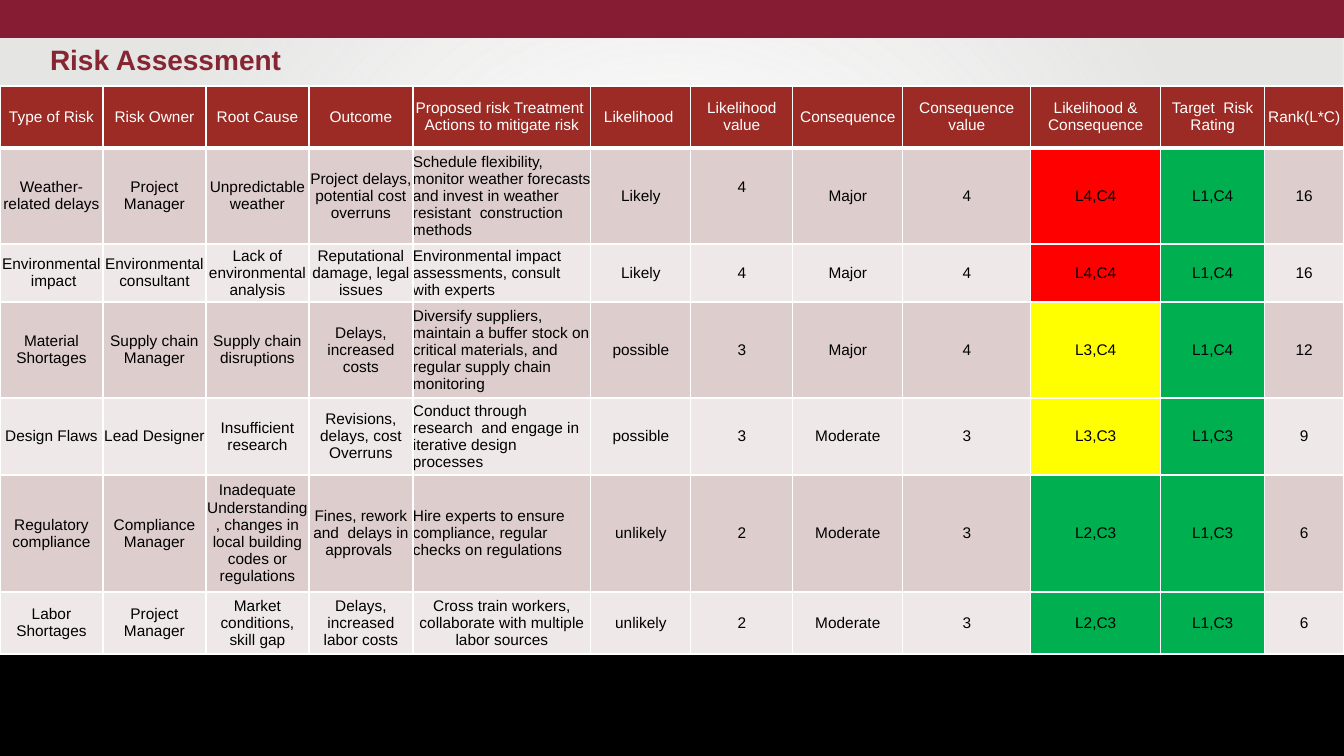
from dataclasses import dataclass

from lxml import etree
from pptx import Presentation
from pptx.dml.color import RGBColor
from pptx.enum.shapes import MSO_SHAPE
from pptx.enum.text import MSO_ANCHOR, PP_ALIGN
from pptx.oxml import parse_xml
from pptx.oxml.ns import qn
from pptx.util import Pt

RECTANGLE = MSO_SHAPE.RECTANGLE
TOP, MIDDLE = MSO_ANCHOR.TOP, MSO_ANCHOR.MIDDLE
LEFT, CENTER = PP_ALIGN.LEFT, PP_ALIGN.CENTER
DRAWING_NS = "http://schemas.openxmlformats.org/drawingml/2006/main"

SLIDE_WIDTH, SLIDE_HEIGHT = 1344, 756
EMU_PER_PX = 12192000 / SLIDE_WIDTH


@dataclass(frozen=True)
class Theme:
    font: str = "Arial"
    title_size: int = 20
    table_size: int = 11
    title: str = "862633"
    band: str = "861C33"
    footer: str = "000000"
    glow: str = "E5E5E4"
    header: str = "9B2B24"
    header_text: str = "FFFFFF"
    body_text: str = "000000"
    border: str = "FFFFFF"
    stripes: tuple = ("DECDCD", "EFE8E8")
    low: str = "00B050"
    medium: str = "FFFF00"
    high: str = "FF0000"


THEME = Theme()

HEADERS = [
    "Type of Risk", "Risk Owner", "Root Cause", "Outcome",
    "Proposed risk Treatment  Actions to mitigate risk", "Likelihood ",
    "Likelihood value", "Consequence", "Consequence value",
    "Likelihood & Consequence", "Target  Risk Rating", "Rank(L*C)",
]
COLUMN_WIDTHS = [103, 103, 103, 104, 178, 100, 102, 110, 128, 130, 104, 79]
ROW_HEIGHTS = [62, 96, 58, 96, 77, 117, 62]
ACTIONS, LIKELIHOOD_VALUE, RATING, TARGET = 4, 6, 9, 10

LIKELIHOOD = {4: ("Likely", THEME.high), 3: ("possible", THEME.medium), 2: ("unlikely", THEME.low)}
CONSEQUENCE = {4: "Major", 3: "Moderate"}

# Type, owner, cause, outcome, actions, likelihood, consequence
RISKS = [
    ("Weather-related delays", "Project Manager", "Unpredictable weather",
     "Project delays, potential cost overruns",
     "Schedule flexibility, monitor weather forecasts and invest in weather  "
     "resistant  construction methods", 4, 4),
    ("Environmental  impact", "Environmental consultant", "Lack of environmental analysis",
     "Reputational damage, legal issues",
     "Environmental impact assessments, consult with experts", 4, 4),
    ("Material Shortages", "Supply chain Manager", "Supply chain disruptions",
     "Delays, increased costs",
     "Diversify suppliers, maintain a buffer stock on critical materials, "
     "and regular supply chain monitoring", 3, 4),
    ("Design Flaws", "Lead Designer", "Insufficient research",
     "Revisions, delays, cost Overruns",
     "Conduct through  research  and engage in iterative design processes", 3, 3),
    ("Regulatory compliance", "Compliance Manager",
     "Inadequate Understanding, changes in local building codes or regulations",
     "Fines, rework and  delays in approvals ",
     "Hire experts to ensure compliance, regular checks on regulations", 2, 3),
    ("Labor Shortages", "Project Manager", "Market conditions, skill gap",
     "Delays, increased labor costs",
     "Cross train workers, collaborate with multiple labor sources", 2, 3),
]


def px(length):
    return round(length * EMU_PER_PX)


def apply_format(target, values):
    for name, value in values.items():
        setattr(target, name, value)


class SlideBuilder:
    def __init__(self, slide, theme):
        self.slide = slide
        self.theme = theme

    def add_text(self, para, text, align, size, color, bold=False):
        para.alignment = align
        span = para.add_run()
        span.text = text
        apply_format(span.font, {"name": self.theme.font, "size": Pt(size), "bold": bold})
        span.font.color.rgb = RGBColor.from_string(color)

    def band(self, top, height, color):
        box = self.slide.shapes.add_shape(RECTANGLE, 0, px(top), px(SLIDE_WIDTH), px(height))
        box.shadow.inherit = False
        box.line.fill.background()
        box.fill.solid()
        box.fill.fore_color.rgb = RGBColor.from_string(color)
        return box

    def glow(self, top, height):
        """Band that is clear at its centre and solid towards its edges."""
        box = self.band(top, height, self.theme.glow)
        stops = "".join(
            f'<a:gs pos="{position * 1000}"><a:srgbClr val="{self.theme.glow}">'
            f'<a:alpha val="{alpha * 1000}"/></a:srgbClr></a:gs>'
            for position, alpha in ((0, 0), (12, 0), (77, 100), (100, 100)))
        gradient = parse_xml(
            f'<a:gradFill xmlns:a="{DRAWING_NS}" rotWithShape="1"><a:gsLst>{stops}</a:gsLst>'
            '<a:path path="circle"><a:fillToRect l="50000" t="50000" r="50000" b="50000"/>'
            '</a:path></a:gradFill>')
        properties = box.element.spPr
        properties.replace(properties.find(qn("a:solidFill")), gradient)

    def title(self, text, left, top, width, height):
        title = self.slide.shapes.title
        apply_format(title, {"left": px(left), "top": px(top),
                             "width": px(width), "height": px(height)})
        apply_format(title.text_frame, {
            "margin_left": px(40), "margin_right": px(40), "margin_top": px(5),
            "margin_bottom": px(5), "vertical_anchor": TOP, "word_wrap": True})
        para = title.text_frame.paragraphs[0]
        para.line_spacing = 0.9
        self.add_text(para, text, LEFT, self.theme.title_size, self.theme.title, True)
        # The placeholder comes first in the stack; bring it above the bands.
        self.slide.shapes.element.append(title.element)

    def borders(self, cell, bottom):
        properties = cell._tc.get_or_add_tcPr()
        for side, width in (("L", 1), ("R", 1), ("T", 1), ("B", bottom)):
            line = etree.SubElement(properties, qn(f"a:ln{side}"), w=str(int(Pt(width))))
            fill = etree.SubElement(line, qn("a:solidFill"))
            etree.SubElement(fill, qn("a:srgbClr"), val=self.theme.border)

    def cell(self, cell, text, fill, color, align=CENTER, border_bottom=1):
        apply_format(cell, {"margin_left": 0, "margin_right": 0, "margin_top": 0,
                            "margin_bottom": 0, "vertical_anchor": MIDDLE})
        self.borders(cell, border_bottom)
        cell.fill.solid()
        cell.fill.fore_color.rgb = RGBColor.from_string(fill)
        self.add_text(cell.text_frame.paragraphs[0], text, align, self.theme.table_size, color)

    def table(self, top, column_widths, row_heights):
        table = self.slide.shapes.add_table(
            len(row_heights), len(column_widths), 0, px(top),
            px(sum(column_widths)), px(sum(row_heights))).table
        for column, width in zip(table.columns, column_widths):
            column.width = px(width)
        for row, height in zip(table.rows, row_heights):
            row.height = px(height)
        return table


def risk_row(risk):
    *details, likelihood, consequence = risk
    return [*details, LIKELIHOOD[likelihood][0], str(likelihood),
            CONSEQUENCE[consequence], str(consequence),
            f"L{likelihood},C{consequence}", f"L1,C{consequence}",
            str(likelihood * consequence)]


def main():
    deck = Presentation()
    deck.slide_width, deck.slide_height = px(SLIDE_WIDTH), px(SLIDE_HEIGHT)
    page = SlideBuilder(deck.slides.add_slide(deck.slide_layouts[5]), THEME)

    page.glow(12, 650)
    page.band(655, 101, THEME.footer)
    page.band(0, 38, THEME.band)
    page.title("Risk Assessment", 10, 41, 1210, 76)

    table = page.table(86, COLUMN_WIDTHS, ROW_HEIGHTS)
    for column, text in enumerate(HEADERS):
        page.cell(table.cell(0, column), text, THEME.header, THEME.header_text, border_bottom=3)
    for index, risk in enumerate(RISKS):
        fills = {RATING: LIKELIHOOD[risk[-2]][1], TARGET: THEME.low}
        stripe = THEME.stripes[index % 2]
        is_last = index == len(RISKS) - 1
        for column, text in enumerate(risk_row(risk)):
            align = LEFT if column == ACTIONS and not is_last else CENTER
            page.cell(table.cell(index + 1, column), text, fills.get(column, stripe),
                      THEME.body_text, align)
    # The first likelihood value sits half a line above the middle.
    table.cell(1, LIKELIHOOD_VALUE).margin_bottom = px(18)

    deck.save("out.pptx")


if __name__ == "__main__":
    main()
